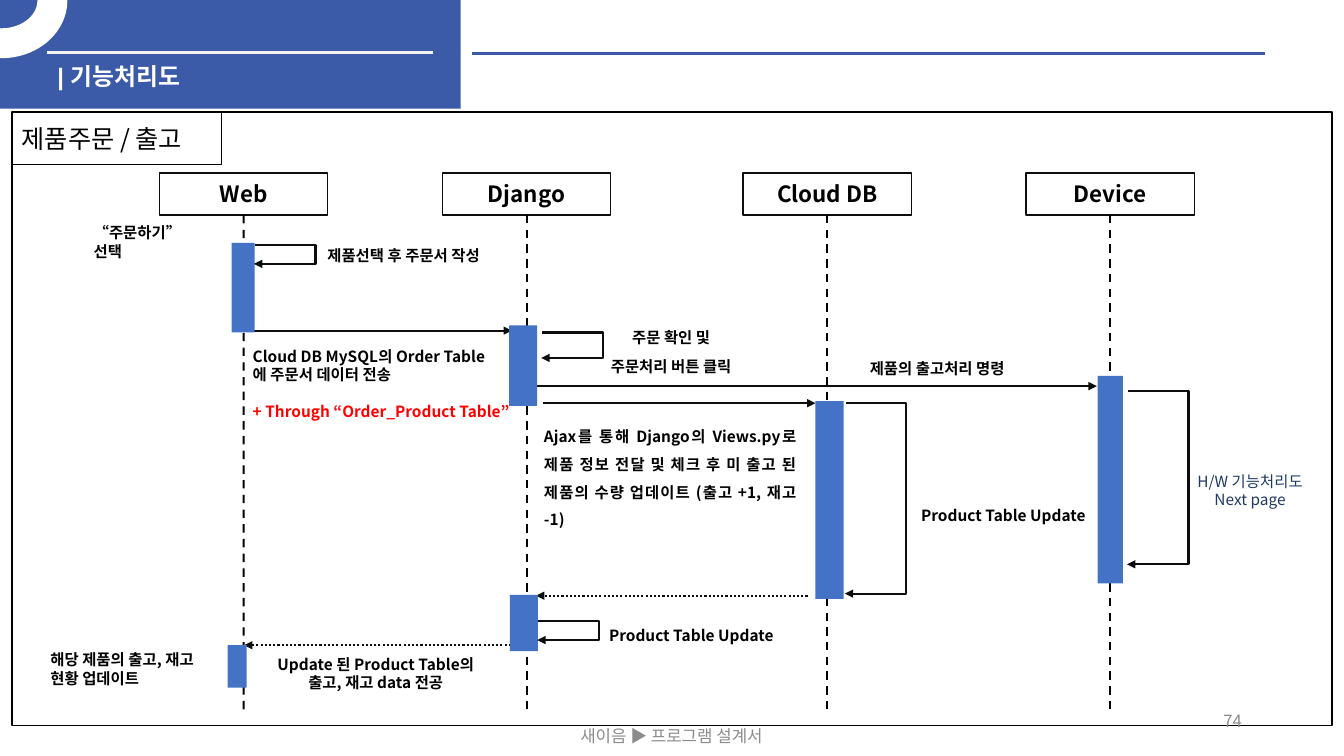
from dataclasses import dataclass

from lxml import etree
from pptx import Presentation
from pptx.dml.color import RGBColor
from pptx.enum.dml import MSO_LINE
from pptx.enum.shapes import MSO_CONNECTOR, MSO_SHAPE
from pptx.enum.text import MSO_ANCHOR, MSO_AUTO_SIZE, PP_ALIGN
from pptx.oxml.ns import qn
from pptx.util import Cm, Pt

RECT, ARC = MSO_SHAPE.RECTANGLE, MSO_SHAPE.BLOCK_ARC
STRAIGHT, ELBOW = MSO_CONNECTOR.STRAIGHT, MSO_CONNECTOR.ELBOW
DASH, DOT = MSO_LINE.DASH, MSO_LINE.ROUND_DOT
TOP, MID = MSO_ANCHOR.TOP, MSO_ANCHOR.MIDDLE
LEFT, MIDDLE, RIGHT = PP_ALIGN.LEFT, PP_ALIGN.CENTER, PP_ALIGN.RIGHT
BLOCK = PP_ALIGN.JUSTIFY
FIXED = MSO_AUTO_SIZE.NONE


@dataclass(frozen=True)
class Theme:
    """Colours, fonts and type sizes of the slide."""
    band: str = "3B5AA8"
    bar: str = "4472C4"
    ink: str = "000000"
    arrow: str = "0D0D0D"
    white: str = "FFFFFF"
    rule: str = "F2F2F2"
    alert: str = "FF0000"
    navy: str = "203864"
    grey: str = "8C8C8C"
    face: str = "Noto Sans CJK KR"
    latin: str = "Arial"
    label: int = 11
    foot: int = 12
    lane: int = 16
    title: int = 17
    tab: int = 18


T = Theme()
REACH, GAP = 1.52, 0.03
LANES = [(5.84, "Web"), (12.97, "Django"), (20.55, "Cloud DB"), (27.68, "Device")]
BARS = [
    (5.54, 3.3, 0.58, 2.26), (12.53, 5.38, 0.71, 2.03), (20.25, 7.29, 0.71, 4.98),
    (27.36, 6.65, 0.64, 5.23), (12.55, 12.17, 0.71, 1.42), (5.44, 13.44, 0.48, 1.07),
]
CALLS = [
    (6.1, 12.6, 5.51, None), (13.11, 27.34, 6.91, None), (13.39, 20.25, 7.34, None),
    (20.05, 13.21, 12.19, DOT), (12.68, 5.85, 13.44, DOT),
]
LOOPS = [
    (6.1, 3.35, 3.83), (13.34, 5.56, 6.2), (20.99, 7.34, 12.14),
    (28.1, 7.04, 11.4), (13.24, 12.83, 13.31),
]
NOTES = [
    ((1.81, 2.69, 3.5, 0.69), ["“주문하기” 선택"], {}),
    ((7.7, 3.25, 5.16, 0.69), ["제품선택 후 주문서 작성"], {}),
    ((5.82, 5.79, 7.14, 2.44),
     ["Cloud DB MySQL의 Order Table", "에 주문서 데이터 전송",
      "+ Through “Order_Product Table”"], {"last": T.alert, "space": 13}),
    ((14.61, 5.33, 4.01, 1.5), ["주문 확인 및", "주문처리 버튼 클릭"],
     {"align": MIDDLE, "space": 7}),
    ((21.37, 6.1, 7.32, 0.74), ["제품의 출고처리 명령"], {}),
    ((13.16, 7.59, 6.86, 3.56),
     ["Ajax를 통해 Django의 Views.py로 제품 정보 전달 및 체크 후 미 출고 된 "
      "제품의 수량 업데이트 (출고 +1, 재고 -1)"], {"align": BLOCK, "pitch": 1.5}),
    ((22.59, 9.8, 4.8, 0.69), ["Product Table Update"], {"align": MIDDLE}),
    ((29.49, 8.94, 3.43, 1.19), ["H/W 기능처리도", "Next page"],
     {"align": MIDDLE, "color": T.navy, "bold": False}),
    ((14.66, 12.83, 4.93, 0.69), ["Product Table Update"], {"align": MIDDLE}),
    ((0.72, 13.44, 4.88, 1.12), ["해당 제품의 출고, 재고", "현황 업데이트"], {}),
    ((6.3, 13.56, 5.74, 1.12), ["Update 된 Product Table의", "출고, 재고 data 전공"],
     {"align": MIDDLE}),
]


def rgb(code):
    """Turn a hex code into a colour."""
    return RGBColor.from_string(code)


def put(item, form):
    """Set each attribute named in the format."""
    for key, value in form.items():
        setattr(item, key, value)


def write(shape, lines, size=T.label, color=T.ink, bold=True, align=LEFT,
          anchor=TOP, face=T.face, last=None, space=0, pitch=None):
    """Fill a shape with lines; the last may differ in colour and space before."""
    frame = shape.text_frame
    put(frame, {"word_wrap": True, "auto_size": FIXED, "vertical_anchor": anchor})
    for i, text in enumerate(lines):
        para = frame.paragraphs[0] if i == 0 else frame.add_paragraph()
        final = 0 < i == len(lines) - 1
        put(para, {"alignment": align, "line_spacing": pitch,
                   "space_before": Pt(space if final else 0)})
        run = para.add_run()
        run.text = text
        put(run.font, {"size": Pt(size), "bold": bold, "name": face})
        run.font.color.rgb = rgb(last if final and last else color)
        east = etree.SubElement(run._r.get_or_add_rPr(), qn("a:ea"))
        east.set("typeface", T.face)


def place(box, part):
    """Shift a part by the corner of its region and give its lengths."""
    x, y, w, h = part
    return Cm(box[0] + x), Cm(box[1] + y), Cm(w), Cm(h)


def draw(slide, box, part, fill=None, edge=None, width=1, kind=RECT):
    """Add a plain shape."""
    shape = slide.shapes.add_shape(kind, *place(box, part))
    shape.shadow.inherit = False
    if fill:
        shape.fill.solid()
        shape.fill.fore_color.rgb = rgb(fill)
    else:
        shape.fill.background()
    if edge:
        shape.line.color.rgb = rgb(edge)
        shape.line.width = Pt(width)
    else:
        shape.line.fill.background()
    return shape


def note(slide, box, part, lines, **form):
    """Add a text box."""
    write(slide.shapes.add_textbox(*place(box, part)), lines, **form)


def link(slide, box, start, end, color=T.arrow, width=1.5, dash=None,
         head=False, kind=STRAIGHT):
    """Add a connector, with an arrowhead at its end if asked."""
    ends = [Cm(box[i] + point[i]) for point in (start, end) for i in (0, 1)]
    line = slide.shapes.add_connector(kind, *ends)
    line.line.color.rgb = rgb(color)
    put(line.line, {"width": Pt(width), "dash_style": dash})
    if head:
        etree.SubElement(line.line._get_or_add_ln(), qn("a:tailEnd")).set("type", "triangle")
    etree.SubElement(line._element.spPr, qn("a:effectLst"))
    return line


def loop(slide, box, x, y, foot):
    """Add an arrow that leaves a bar to the right and returns to it."""
    line = link(slide, box, (x, y), (x + GAP, foot), head=True, kind=ELBOW)
    form = line._element.spPr
    form.xfrm.set("rot", "10800000")
    form.xfrm.set("flipV", "1")
    guide = etree.SubElement(form.find(".//" + qn("a:avLst")), qn("a:gd"))
    guide.set("name", "adj1")
    guide.set("fmla", f"val {round(-REACH / GAP * 100000)}")


def header(slide, box):
    """Build the title band with its ring and rules."""
    link(slide, box, (11.89, 1.35), (31.88, 1.35), T.band, 2.25)
    draw(slide, box, (0, 0, 11.61, 2.74), T.band)
    link(slide, box, (1.19, 1.32), (10.92, 1.32), T.rule, 2.25)
    ring = draw(slide, box, (-1.6, -1.42, 3.28, 2.87), T.white, T.white, kind=ARC)
    ring._element.spPr.xfrm.set("flipV", "1")
    for i, value in enumerate((96.95, 0, 0.25)):
        ring.adjustments[i] = value
    title = slide.shapes.title
    spot = place(box, (1.19, 1.42, 8.99, 0.74))
    put(title, dict(zip(("left", "top", "width", "height"), spot)))
    write(title, ["| 기능처리도"], T.title, T.white, face=T.latin)
    slide.shapes._spTree.append(title._element)


def flow(slide, box):
    """Build the framed sequence diagram."""
    draw(slide, box, (0, 0, box[2], box[3]), edge=T.ink)
    tab = draw(slide, box, (0, 0, 5.28, 1.32), edge=T.ink, width=0.5)
    write(tab, ["제품주문 / 출고"], T.tab, bold=False, anchor=MID)
    for x, name in LANES:
        head = draw(slide, box, (x - 2.12, 1.54, 4.24, 1.06), edge=T.arrow)
        write(head, [name], T.lane, align=MIDDLE, anchor=MID)
        line = link(slide, box, (x, 2.6), (x, 15.11), T.ink, dash=DASH)
        line.begin_connect(head, 2)
    for start, end, y, dash in CALLS:
        link(slide, box, (start, y), (end, y), dash=dash, head=True)
    for bar in BARS:
        draw(slide, box, bar, T.bar)
    for turn in LOOPS:
        loop(slide, box, *turn)
    for part, lines, form in NOTES:
        note(slide, box, part, lines, **form)


def footer(slide, box):
    """Build the footer text and page number."""
    form = {"size": T.foot, "color": T.grey, "bold": False, "anchor": MID}
    note(slide, box, (12.9, 0.38, 8.05, 1.02), ["새이음 ▶ 프로그램 설계서"], align=MIDDLE, **form)
    note(slide, box, (23.93, 0, 7.62, 1.02), ["74"], align=RIGHT, **form)


def main():
    """Build and save the slide."""
    deck = Presentation()
    put(deck, {"slide_width": Cm(33.87), "slide_height": Cm(19.05)})
    slide = deck.slides.add_slide(deck.slide_layouts[5])
    header(slide, (0, 0, 33.87, 2.74))
    flow(slide, (0.3, 2.82, 33.27, 15.47))
    footer(slide, (0, 17.65, 33.87, 1.4))
    deck.save("out.pptx")


if __name__ == "__main__":
    main()
